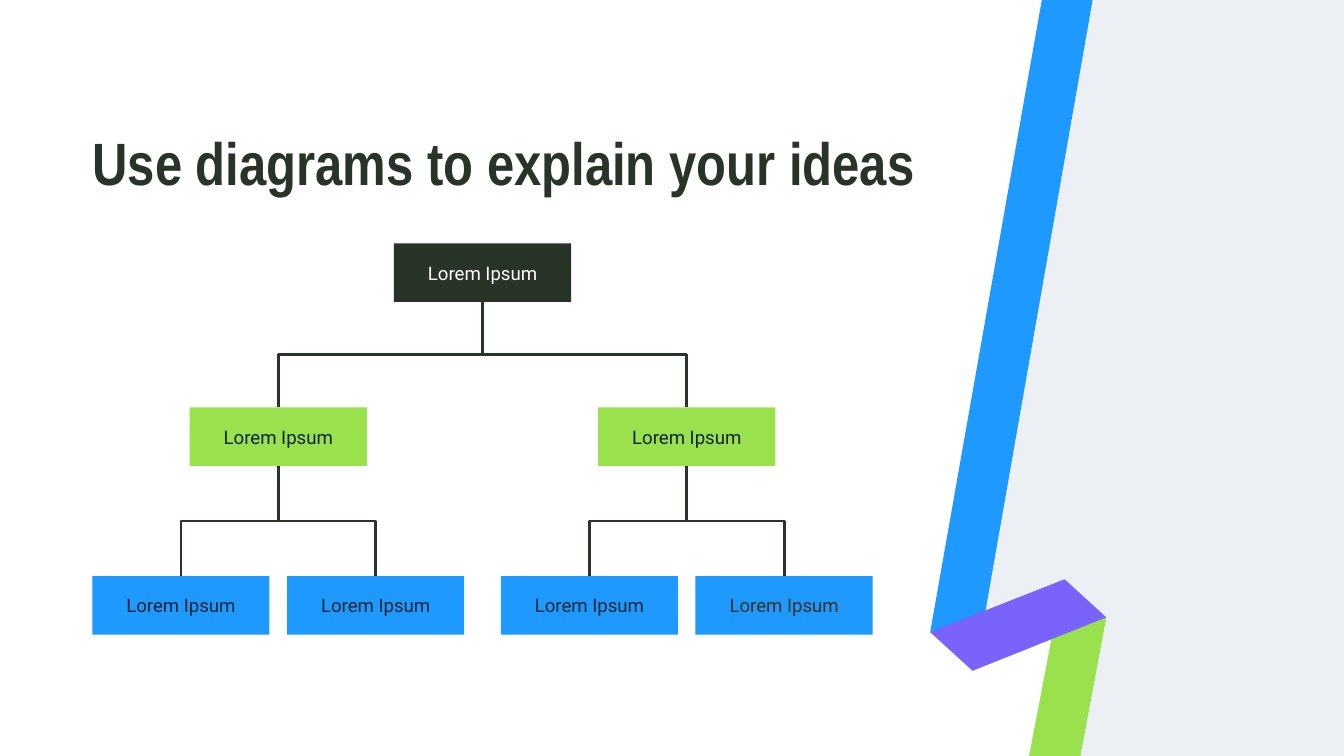
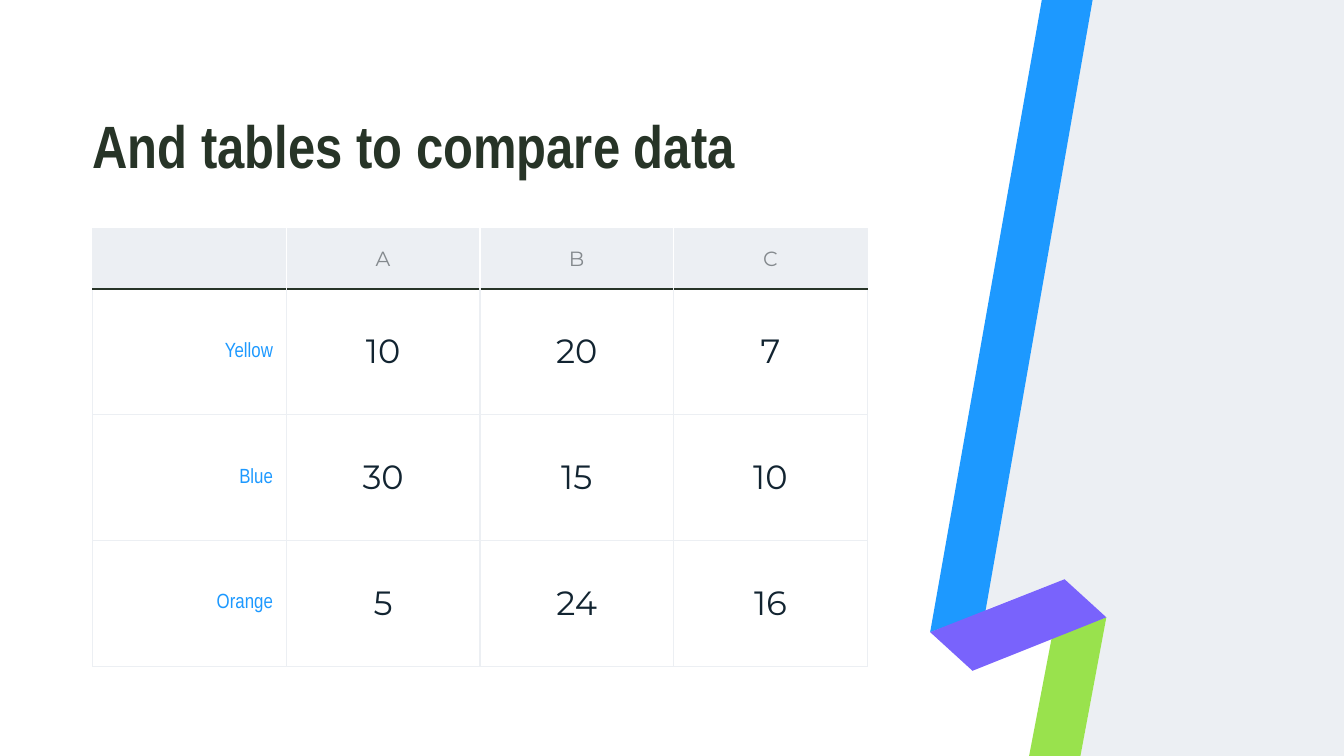
from lxml.etree import SubElement
from pptx import Presentation
from pptx.dml.color import RGBColor
from pptx.enum.shapes import MSO_CONNECTOR, MSO_SHAPE
from pptx.enum.text import MSO_ANCHOR, PP_ALIGN
from pptx.oxml import parse_xml
from pptx.oxml.ns import nsdecls, qn
from pptx.util import Cm, Pt

INK = {
    "dark": "273427", "navy": "122431", "blue": "1D99FF", "green": "99E24D",
    "violet": "7963FC", "pale": "ECEFF3", "gray": "84898D", "white": "FFFFFF",
}
HEAD, BODY, DATA = "Arial Narrow", "Roboto", "Montserrat"
WIDE, HIGH = 25.4, 14.29
LEFT = 1.75

RIBBON = [
    ("pale", [(20.65, 0), (18.62, 11.53), (20.12, 10.95), (20.91, 11.67),
              (20.42, HIGH), (WIDE, HIGH), (WIDE, 0)]),
    ("blue", [(19.69, 0), (20.65, 0), (18.62, 11.58), (17.58, 11.95)]),
    ("green", [(19.45, HIGH), (19.88, 12.04), (20.91, 11.67), (20.42, HIGH)]),
    ("violet", [(17.58, 11.95), (20.12, 10.95), (20.91, 11.67), (18.38, 12.68)]),
]

LABEL = "Lorem Ipsum"
TREE = (LABEL, "white", [
    (LABEL, "navy", [(LABEL, "navy", []), (LABEL, "navy", [])]),
    (LABEL, "navy", [(LABEL, "navy", []), (LABEL, "dark", [])]),
])
LEVELS = [("dark", 4.6, 3.86), ("green", 7.7, 1.84), ("blue", 10.89, 0)]
BOX_W, BOX_H, ROOT = 3.35, 1.11, 9.12

GRID = [
    ["", "A", "B", "C"],
    ["Yellow", "10", "20", "7"],
    ["Blue", "30", "15", "10"],
    ["Orange", "5", "24", "16"],
]
GRID_TOP, COL_W, HEAD_H, ROW_H = 4.33, 3.66, 1.13, 2.38


def rgb(name):
    return RGBColor.from_string(INK[name])


def paint(shape, name):
    shape.fill.solid()
    shape.fill.fore_color.rgb = rgb(name)
    shape.line.fill.background()
    shape.shadow.inherit = False


def write(frame, text, font, size, name, align, bold=False):
    frame.text = text
    para = frame.paragraphs[0]
    para.alignment = align
    for run in para.runs:
        run.font.name = font
        run.font.size = Pt(size)
        run.font.bold = bold
        run.font.color.rgb = rgb(name)
    return para


def pad(item, x, y):
    item.margin_left = item.margin_right = Cm(x)
    item.margin_top = item.margin_bottom = Cm(y)


def new_slide(deck, title, top, width):
    slide = deck.slides.add_slide(deck.slide_layouts[6])
    slide.background.fill.solid()
    slide.background.fill.fore_color.rgb = rgb("white")
    for name, points in RIBBON:
        spots = [(Cm(x), Cm(y)) for x, y in points]
        path = slide.shapes.build_freeform(*spots[0])
        path.add_line_segments(spots[1:], close=True)
        paint(path.convert_to_shape(), name)
    box = slide.shapes.add_textbox(Cm(LEFT), Cm(top), Cm(width), Cm(1.09))
    frame = box.text_frame
    frame.word_wrap = True
    frame.vertical_anchor = MSO_ANCHOR.BOTTOM
    pad(frame, 0, 0)
    para = write(frame, title, HEAD, 32, "dark", PP_ALIGN.LEFT, True)
    para.line_spacing = 0.8
    return slide


def join(slide, upper, lower):
    link = slide.shapes.add_connector(MSO_CONNECTOR.ELBOW, 0, 0, 0, 0)
    link.begin_connect(upper, 2)
    link.end_connect(lower, 0)
    start = upper.left + upper.width // 2
    stop = lower.left + lower.width // 2
    top = upper.top + upper.height
    drop, span = lower.top - top, abs(stop - start)
    link.left = (start + stop - drop) // 2
    link.top = top + (drop - span) // 2
    link.width, link.height = drop, span
    xfrm = link._element.spPr.find(qn("a:xfrm"))
    right = stop > start
    xfrm.set("rot", "16200000" if right else "5400000")
    xfrm.set("flipH", "1" if right else "0")
    xfrm.set("flipV", "0")
    link.line.color.rgb = rgb("dark")
    link.line.width = Pt(1.5)
    SubElement(link._element.spPr, qn("a:effectLst"))


def grow(slide, node, mid, depth=0):
    text, name, kids = node
    fill, top, step = LEVELS[depth]
    box = slide.shapes.add_shape(
        MSO_SHAPE.RECTANGLE, Cm(mid - BOX_W / 2), Cm(top), Cm(BOX_W), Cm(BOX_H))
    paint(box, fill)
    frame = box.text_frame
    frame.word_wrap = True
    frame.vertical_anchor = MSO_ANCHOR.MIDDLE
    pad(frame, 0.25, 0.25)
    write(frame, text, BODY, 10, name, PP_ALIGN.CENTER)
    for side, kid in zip((-1, 1), kids):
        join(slide, box, grow(slide, kid, mid + side * step, depth + 1))
    return box


def edge(cell, sides):
    props = cell._tc.get_or_add_tcPr()
    for spot, (side, (name, width)) in enumerate(sides.items()):
        props.insert(spot, parse_xml(
            f'<a:ln{side} {nsdecls("a")} w="{Pt(width)}"><a:solidFill>'
            f'<a:srgbClr val="{INK[name]}"/></a:solidFill></a:ln{side}>'))


def fill_grid(slide):
    rows, cols = len(GRID), len(GRID[0])
    table = slide.shapes.add_table(
        rows, cols, Cm(LEFT), Cm(GRID_TOP), Cm(COL_W * cols),
        Cm(HEAD_H + ROW_H * (rows - 1))).table
    table.first_row = table.horz_banding = False
    for col in table.columns:
        col.width = Cm(COL_W)
    for r, line in enumerate(GRID):
        table.rows[r].height = Cm(ROW_H if r else HEAD_H)
        for c, text in enumerate(line):
            cell = table.cell(r, c)
            cell.vertical_anchor = MSO_ANCHOR.MIDDLE
            pad(cell, 0.25, 0.18)
            thin, rule, gap = ("pale", 0.75), ("dark", 1.5), ("white", 0.75)
            sides = dict.fromkeys("LRTB", thin)
            if r == 0:
                style = DATA, 11, "gray", PP_ALIGN.CENTER
                cell.fill.solid()
                cell.fill.fore_color.rgb = rgb("pale")
                sides["L"] = gap if c else thin
                sides["R"] = gap if c < cols - 1 else thin
                sides["B"] = rule
            else:
                style = ((DATA, 18, "navy", PP_ALIGN.CENTER) if c
                         else (HEAD, 11, "blue", PP_ALIGN.RIGHT))
                cell.fill.background()
                sides["T"] = rule if r == 1 else thin
            write(cell.text_frame, text, *style)
            edge(cell, sides)


deck = Presentation()
deck.slide_width, deck.slide_height = Cm(WIDE), Cm(HIGH)
grow(new_slide(deck, "Use diagrams to explain your ideas", 2.64, 18), TREE, ROOT)
fill_grid(new_slide(deck, "And tables to compare data", 2.32, 14.65))
deck.save("out.pptx")
